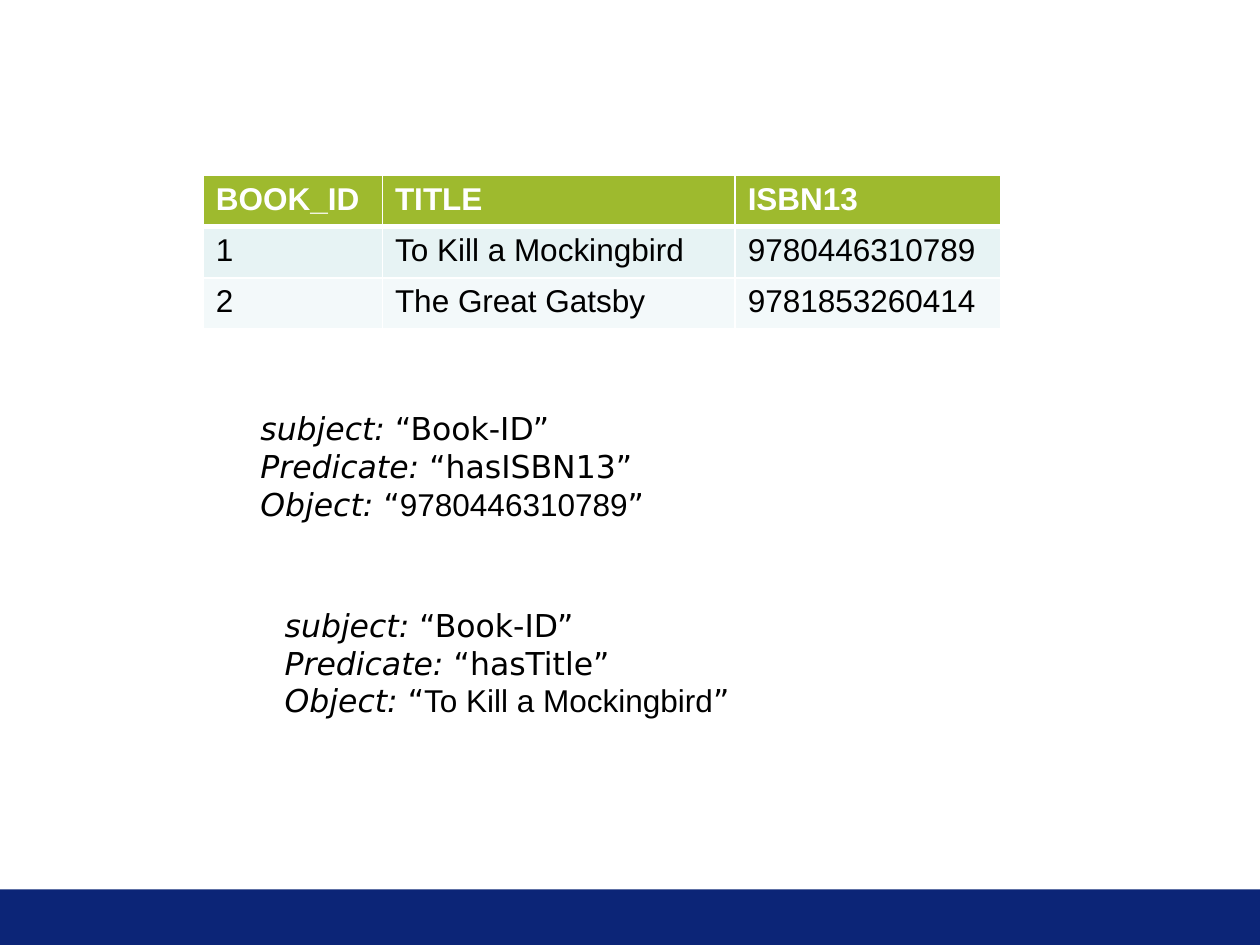
from lxml.etree import SubElement
from pptx import Presentation
from pptx.dml.color import RGBColor
from pptx.enum.shapes import MSO_SHAPE
from pptx.enum.text import MSO_AUTO_SIZE
from pptx.oxml.ns import qn
from pptx.util import Cm, Pt

WHITE, BLACK = "FFFFFF", "000000"
HEADER_FILL = "9EBA2E"
BAND_FILLS = ["E7F3F4", "F3F9FA"]
FOOTER_FILL = "0C2577"

BOOKS = [
    ["BOOK_ID", "TITLE", "ISBN13"],
    ["1", "To Kill a Mockingbird", "9780446310789"],
    ["2", "The Great Gatsby", "9781853260414"],
]
COLUMN_WIDTHS = [3.61, 7.11, 5.36]


def rgb(value):
    return RGBColor.from_string(value)


def add_text(paragraph, text, font="DejaVu Sans", size=18, color=BLACK,
             bold=False, italic=False):
    run = paragraph.add_run()
    run.text = text
    run.font.name = font
    run.font.size = Pt(size)
    run.font.color.rgb = rgb(color)
    run.font.bold = bold
    run.font.italic = italic


def set_borders(cell, top, bottom):
    """White cell borders; the side lines are 1 pt wide."""
    properties = cell._tc.get_or_add_tcPr()
    for side, width in (("L", 1), ("R", 1), ("T", top), ("B", bottom)):
        line = SubElement(properties, qn(f"a:ln{side}"), w=str(Pt(width)))
        fill = SubElement(line, qn("a:solidFill"))
        SubElement(fill, qn("a:srgbClr"), val=WHITE)


def add_footer_band(slide, left, top, width, height):
    band = slide.shapes.add_shape(MSO_SHAPE.RECTANGLE, left, top, width, height)
    band.shadow.inherit = False
    band.fill.solid()
    band.fill.fore_color.rgb = rgb(FOOTER_FILL)
    band.line.fill.background()


def add_book_table(slide, left, top, width, height):
    table = slide.shapes.add_table(len(BOOKS), len(COLUMN_WIDTHS),
                                   left, top, width, height).table
    for column, column_width in zip(table.columns, COLUMN_WIDTHS):
        column.width = Cm(column_width)
    for r, book in enumerate(BOOKS):
        header = r == 0
        for c, value in enumerate(book):
            cell = table.cell(r, c)
            set_borders(cell, top=3 if r == 1 else 1, bottom=3 if header else 1)
            cell.fill.solid()
            cell.fill.fore_color.rgb = rgb(HEADER_FILL if header else BAND_FILLS[r - 1])
            add_text(cell.text_frame.paragraphs[0], value, font="Arial",
                     color=WHITE if header else BLACK, bold=header)


def add_triple(slide, left, top, width, height, predicate, value):
    """A subject, predicate and object statement on three lines."""
    frame = slide.shapes.add_textbox(left, top, width, height).text_frame
    frame.word_wrap = True
    frame.auto_size = MSO_AUTO_SIZE.SHAPE_TO_FIT_TEXT
    statement = frame.paragraphs[0]
    for role, name in (("subject:", "Book-ID"), ("Predicate:", predicate)):
        add_text(statement, role, italic=True)
        add_text(statement, f" “{name}” ")
        statement.add_line_break()
    add_text(statement, "Object:", italic=True)
    add_text(statement, " “")
    add_text(statement, value, font="Arial")
    add_text(statement, "”")


def main():
    deck = Presentation()
    deck.slide_width, deck.slide_height = Cm(25.4), Cm(19.05)
    slide = deck.slides.add_slide(deck.slide_layouts[6])

    footer_top = Cm(17.93)
    add_footer_band(slide, 0, footer_top, deck.slide_width,
                    deck.slide_height - footer_top)
    add_book_table(slide, Cm(4.1), Cm(3.54), Cm(sum(COLUMN_WIDTHS)), Cm(3.09))
    add_triple(slide, Cm(5), Cm(8.13), Cm(13.41), Cm(3.33),
               "hasISBN13", BOOKS[1][2])
    add_triple(slide, Cm(5.49), Cm(12.09), Cm(13.41), Cm(3.33),
               "hasTitle", BOOKS[1][1])
    deck.save("out.pptx")


if __name__ == "__main__":
    main()
